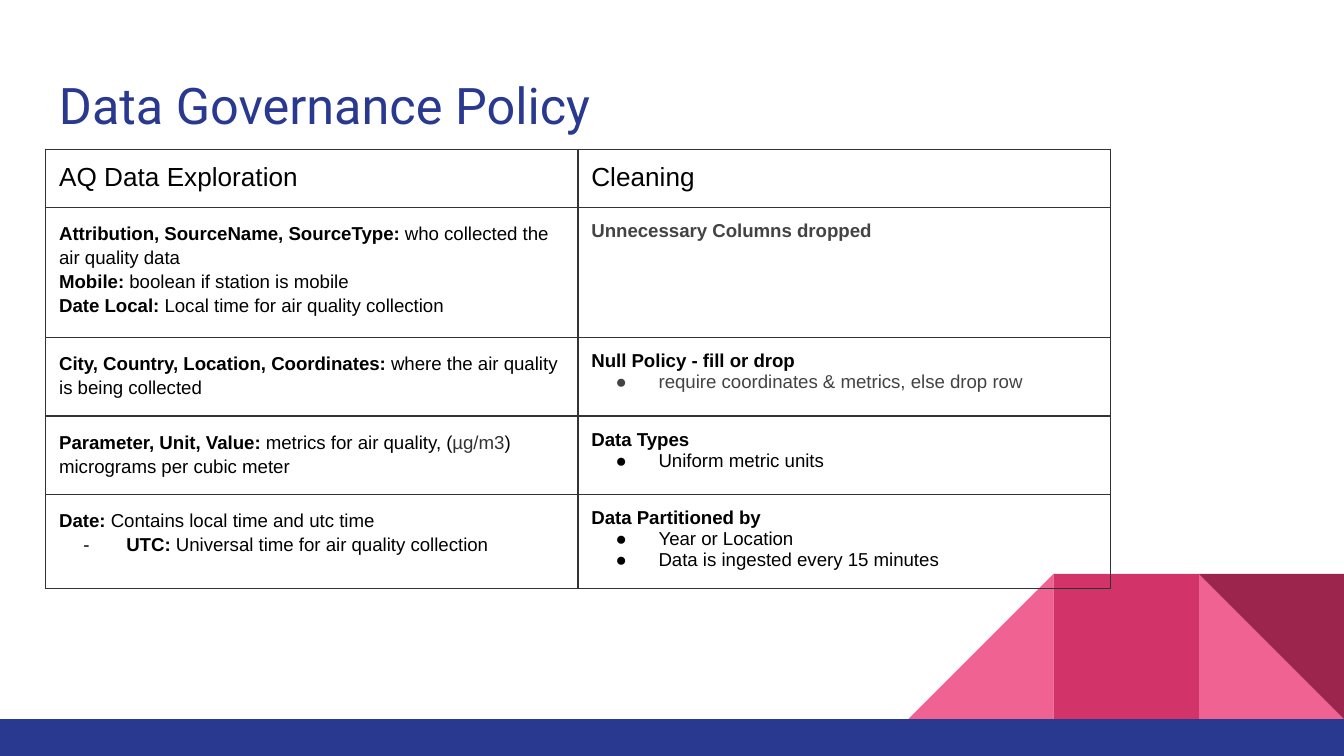
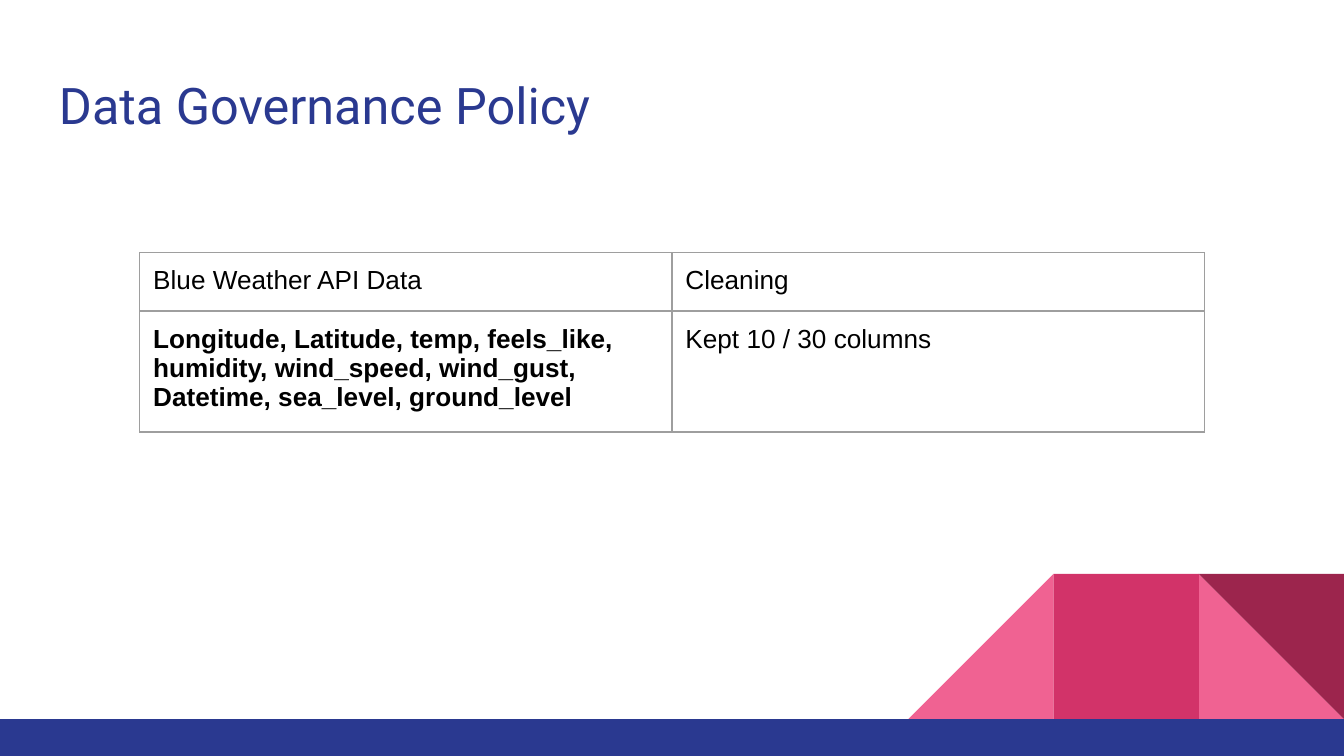
from lxml import etree
from pptx import Presentation
from pptx.dml.color import RGBColor
from pptx.enum.shapes import MSO_SHAPE as Preset
from pptx.enum.text import MSO_ANCHOR as Anchor
from pptx.oxml.ns import qn
from pptx.util import Inches, Pt

COLORS = {
    "navy": "2A3990",
    "pink": "F06292",
    "rose": "D23369",
    "wine": "9C254D",
    "black": "000000",
    "charcoal": "333333",
    "slate": "434343",
    "silver": "9E9E9E",
}
WIDTH, HEIGHT = 10, 5.625
BAND_TOP = 5.35
TILE = 1.08
COLUMN_WIDTH, ROW_HEIGHT = 3.96, 0.42


def rgb(color):
    return RGBColor.from_string(COLORS[color])


def line(*runs, **style):
    return {"runs": runs, **style}


def heading(text):
    return line((text, False), size=14)


def term(name, meaning, **style):
    return line((name, True), (meaning, False), spacing=1.15, **style)


def rule(text, **style):
    return line((text, True), **style)


def item(text, color="black"):
    return line((text, False), bullet="●", color=color)


class Deck:
    def __init__(self):
        self.presentation = Presentation()
        self.presentation.slide_width = Inches(WIDTH)
        self.presentation.slide_height = Inches(HEIGHT)
        self.slide = None

    def add_slide(self, title):
        blank = self.presentation.slide_layouts[6]
        self.slide = self.presentation.slides.add_slide(blank)
        self.decoration()
        self.title(title)

    def block(self, preset, left, top, width, height, color, rotation=0, mirrored=False):
        block = self.slide.shapes.add_shape(
            preset, Inches(left), Inches(top), Inches(width), Inches(height))
        block.shadow.inherit = False
        block.fill.solid()
        block.fill.fore_color.rgb = rgb(color)
        block.line.fill.background()
        block.rotation = rotation
        if mirrored:
            block.element.spPr.get_or_add_xfrm().set("flipH", "1")

    def decoration(self):
        tiles = [
            (Preset.RIGHT_TRIANGLE, 1, "pink", 0, False),
            (Preset.RIGHT_TRIANGLE, 3, "pink", 0, True),
            (Preset.RECTANGLE, 2, "rose", 0, False),
            (Preset.RIGHT_TRIANGLE, 1, "wine", 180, False),
        ]
        for preset, place, color, rotation, mirrored in tiles:
            self.block(preset, WIDTH - place * TILE, BAND_TOP - TILE, TILE, TILE,
                       color, rotation, mirrored)
        self.block(Preset.RECTANGLE, 0, BAND_TOP, WIDTH, HEIGHT - BAND_TOP, "navy")

    def title(self, text):
        frame = self.slide.shapes.add_textbox(
            Inches(0.34), Inches(0.45), Inches(9.32), Inches(0.66)).text_frame
        frame.word_wrap = True
        frame.vertical_anchor = Anchor.TOP
        self.margins(frame)
        self.fill_line(frame.paragraphs[0],
                       line((text, False), size=27, font="Roboto", color="navy"))

    def margins(self, holder):
        holder.margin_left = holder.margin_right = Inches(0.1)
        holder.margin_top = holder.margin_bottom = Inches(0.1)

    def fill_line(self, paragraph, content):
        color = content.get("color", "black")
        paragraph.line_spacing = content.get("spacing", 1.0)
        paragraph.space_before = Pt(content.get("before", 0))
        paragraph.space_after = Pt(content.get("after", 0))
        if "bullet" in content:
            self.bullet(paragraph, content["bullet"], color)
        paragraph.font.name = content.get("font", "Arial")
        paragraph.font.size = Pt(content.get("size", 10))
        paragraph.font.color.rgb = rgb(color)
        for text, bold, *tint in content["runs"]:
            run = paragraph.add_run()
            run.text = text
            run.font.bold = bold
            if tint:
                run.font.color.rgb = rgb(tint[0])

    def bullet(self, paragraph, mark, color):
        properties = paragraph._p.get_or_add_pPr()
        properties.set("marL", str(Inches(0.5)))
        properties.set("indent", str(Inches(-0.32)))
        tint = etree.SubElement(properties, qn("a:buClr"))
        etree.SubElement(tint, qn("a:srgbClr"), val=COLORS[color])
        etree.SubElement(properties, qn("a:buFont"), typeface="Arial")
        etree.SubElement(properties, qn("a:buChar"), char=mark)

    def borders(self, cell, color):
        properties = cell._tc.get_or_add_tcPr()
        for side in ("lnL", "lnR", "lnT", "lnB"):
            edge = etree.SubElement(properties, qn(f"a:{side}"), w=str(Pt(0.75)))
            paint = etree.SubElement(edge, qn("a:solidFill"))
            etree.SubElement(paint, qn("a:srgbClr"), val=COLORS[color])

    def table(self, left, top, rows, border):
        columns = len(rows[0])
        table = self.slide.shapes.add_table(
            len(rows), columns, Inches(left), Inches(top),
            Inches(COLUMN_WIDTH * columns), Inches(ROW_HEIGHT * len(rows))).table
        table.first_row = False
        table.horz_banding = False
        for row_index, row in enumerate(rows):
            for column_index, lines in enumerate(row):
                cell = table.cell(row_index, column_index)
                self.borders(cell, border)
                cell.fill.background()
                self.margins(cell)
                frame = cell.text_frame
                for index, content in enumerate(lines):
                    paragraph = frame.add_paragraph() if index else frame.paragraphs[0]
                    self.fill_line(paragraph, content)


AIR_QUALITY = [
    ([heading("AQ Data Exploration")], [heading("Cleaning")]),
    (
        [
            term("Attribution, SourceName, SourceType: ", "who collected the air quality data"),
            term("Mobile: ", "boolean if station is mobile"),
            term("Date Local:", " Local time for air quality collection"),
        ],
        [rule("Unnecessary Columns dropped", color="slate", before=16, after=4)],
    ),
    (
        [term("City, Country, Location, Coordinates: ", "where the air quality is being collected")],
        [
            rule("Null Policy - fill or drop"),
            item("require coordinates & metrics, else drop row", "slate"),
        ],
    ),
    (
        [line(
            ("Parameter, Unit, Value: ", True),
            ("metrics for air quality, (", False),
            ("µg/m3", False, "charcoal"),
            (") micrograms per cubic meter", False),
            spacing=1.15,
        )],
        [rule("Data Types"), item("Uniform metric units")],
    ),
    (
        [
            term("Date: ", "Contains local time and utc time"),
            term("UTC: ", "Universal time for air quality collection", bullet="-"),
        ],
        [
            rule("Data Partitioned by"),
            item("Year or Location"),
            item("Data is ingested every 15 minutes"),
        ],
    ),
]

WEATHER = [
    ([heading("Blue Weather API Data")], [heading("Cleaning")]),
    (
        [
            rule("Longitude, Latitude, temp, feels_like, humidity, wind_speed, wind_gust,", size=14),
            rule("Datetime, sea_level, ground_level", size=14),
        ],
        [heading("Kept 10 / 30 columns")],
    ),
]


def main():
    deck = Deck()
    deck.add_slide("Data Governance Policy")
    deck.table(0.34, 1.11, AIR_QUALITY, "charcoal")
    deck.add_slide("Data Governance Policy")
    deck.table(1.04, 1.88, WEATHER, "silver")
    deck.presentation.save("out.pptx")


if __name__ == "__main__":
    main()
